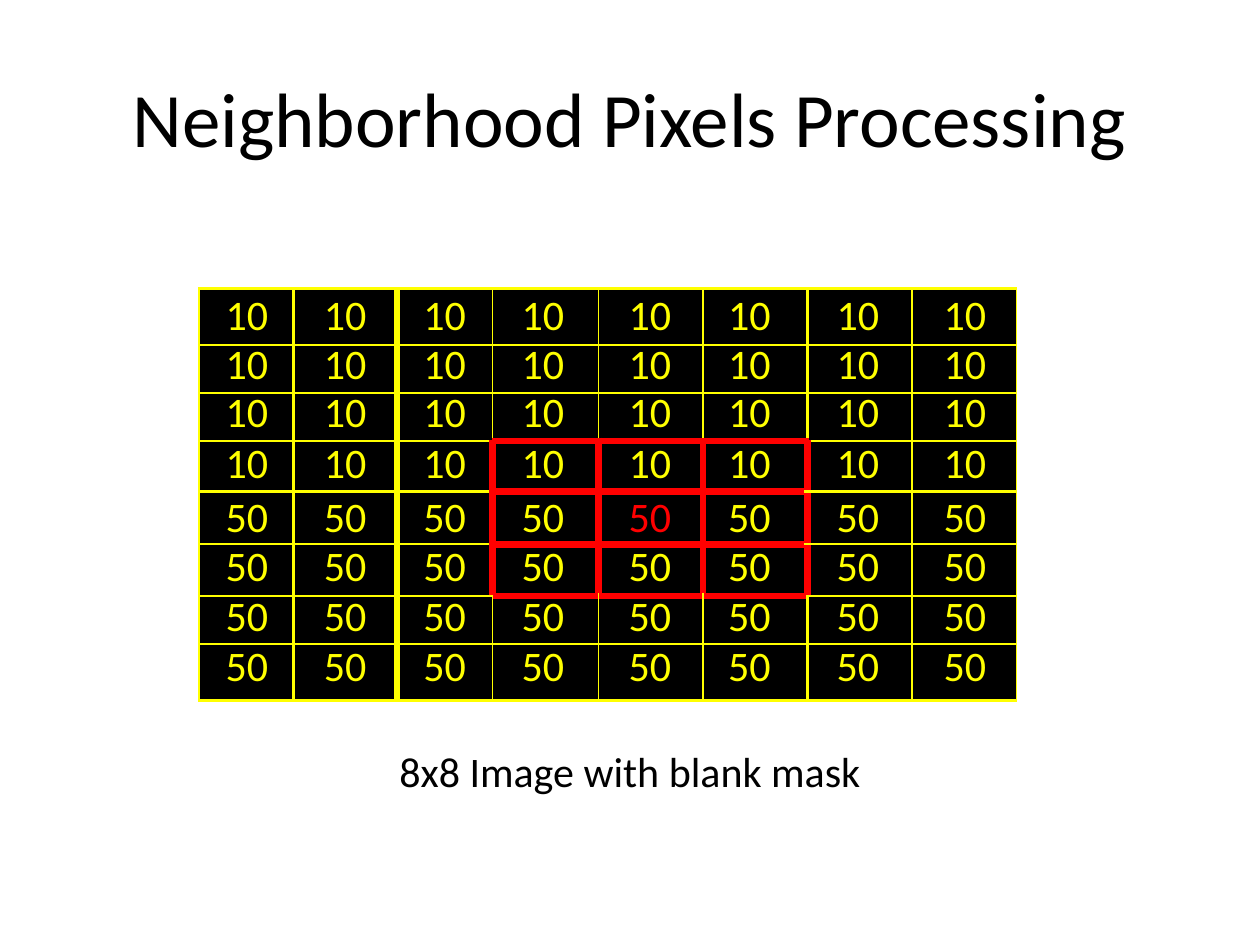
from lxml import etree
from pptx import Presentation
from pptx import util as u
from pptx.dml.color import RGBColor
from pptx.enum import text
from pptx.oxml.ns import qn

# Content
TITLE = "Neighborhood Pixels Processing"
CAPTION = "8x8 Image with blank mask"
# pixel value, row height, top inset, line spacing in points
ROWS = [
    ("10", 0.45, 0.02, None),
    ("10", 0.38, 0, 26.1),
    ("10", 0.38, 0, 26.4),
    ("10", 0.40, 0.01, 27.4),
    ("50", 0.42, 0.01, None),
    ("50", 0.41, 0, 27.6),
    ("50", 0.38, 0, 26.6),
    ("50", 0.45, 0, 28.1),
]
# column width, left indent (None = centred)
COLUMNS = [(0.75, 0.21), (0.82, 0.24), (0.76, None), (0.84, 0.23),
           (0.83, 0.24), (0.83, 0.2), (0.83, 0.23), (0.83, 0.25)]
MASK = range(3, 6)  # rows and columns under the 3x3 mask
MASK_CENTER = (4, 4)
COLUMN_EDGES = [1.5, 1.5, 4.25, 1, 1, 1.5, 1.5, 1.5, 1]  # line widths
ROW_EDGE = 1.5

THEME = dict(font="Calibri", ink="000000", pixel="000000", grid="FFFF00",
             mask="FF0000", mask_width=4.25, title=44, body=24)


def write(frame, words, size=THEME["body"], color=THEME["ink"], align=text.PP_ALIGN.LEFT,
          spacing=None, insets=(0, 0, 0, 0), anchor=text.MSO_ANCHOR.TOP):
    frame.word_wrap = True
    frame.vertical_anchor = anchor
    (frame.margin_left, frame.margin_top,
     frame.margin_right, frame.margin_bottom) = map(u.Inches, insets)
    paragraph = frame.paragraphs[0]
    paragraph.alignment = align
    if spacing:
        paragraph.line_spacing = u.Pt(spacing)
    run = paragraph.add_run()
    run.text = words
    run.font.name = THEME["font"]
    run.font.size = u.Pt(size)
    run.font.color.rgb = RGBColor.from_string(color)


def border(cell, side, masked, width):
    color = THEME["mask" if masked else "grid"]
    width = THEME["mask_width"] if masked else width
    line = etree.SubElement(cell._tc.get_or_add_tcPr(), qn(f"a:ln{side}"), w=str(u.Pt(width)))
    fill = etree.SubElement(line, qn("a:solidFill"))
    etree.SubElement(fill, qn("a:srgbClr"), val=color)


def on_mask(edge, lane):
    return lane in MASK and MASK.start <= edge <= MASK.stop


prs = Presentation()
prs.slide_width, prs.slide_height = u.Inches(10), u.Inches(7.5)
slide = prs.slides.add_slide(prs.slide_layouts[6])


def add_label(box, words, **style):
    write(slide.shapes.add_textbox(*map(u.Inches, box)).text_frame, words, **style)


# Title
add_label((0.5, 0.3, 9, 1.25), TITLE, size=THEME["title"],
          align=text.PP_ALIGN.CENTER, anchor=text.MSO_ANCHOR.MIDDLE)

# Pixel grid
pixels = slide.shapes.add_table(len(ROWS), len(COLUMNS), u.Inches(1.58), u.Inches(2.29),
                                u.Inches(6.5), u.Inches(3.28)).table
pixels.first_row = pixels.horz_banding = False
for c, (width, _) in enumerate(COLUMNS):
    pixels.columns[c].width = u.Inches(width)

for r, (value, height, top, spacing) in enumerate(ROWS):
    pixels.rows[r].height = u.Inches(height)
    for c, (_, indent) in enumerate(COLUMNS):
        cell = pixels.cell(r, c)
        for side, edge in (("L", c), ("R", c + 1)):
            border(cell, side, on_mask(edge, r), COLUMN_EDGES[edge])
        for side, edge in (("T", r), ("B", r + 1)):
            border(cell, side, on_mask(edge, c), ROW_EDGE)
        cell.fill.solid()
        cell.fill.fore_color.rgb = RGBColor.from_string(THEME["pixel"])
        cell.margin_left, cell.margin_top = u.Inches(indent or 0), u.Inches(top)
        cell.margin_right = cell.margin_bottom = 0
        write(cell.text_frame, value, spacing=spacing, insets=(indent or 0, top, 0, 0),
              color=THEME["mask" if (r, c) == MASK_CENTER else "grid"],
              align=text.PP_ALIGN.CENTER if indent is None else text.PP_ALIGN.LEFT)

# Caption
add_label((3.16, 5.99, 3.68, 0.34), CAPTION, spacing=23.8, insets=(0.01, 0, 0, 0))

prs.save("out.pptx")
